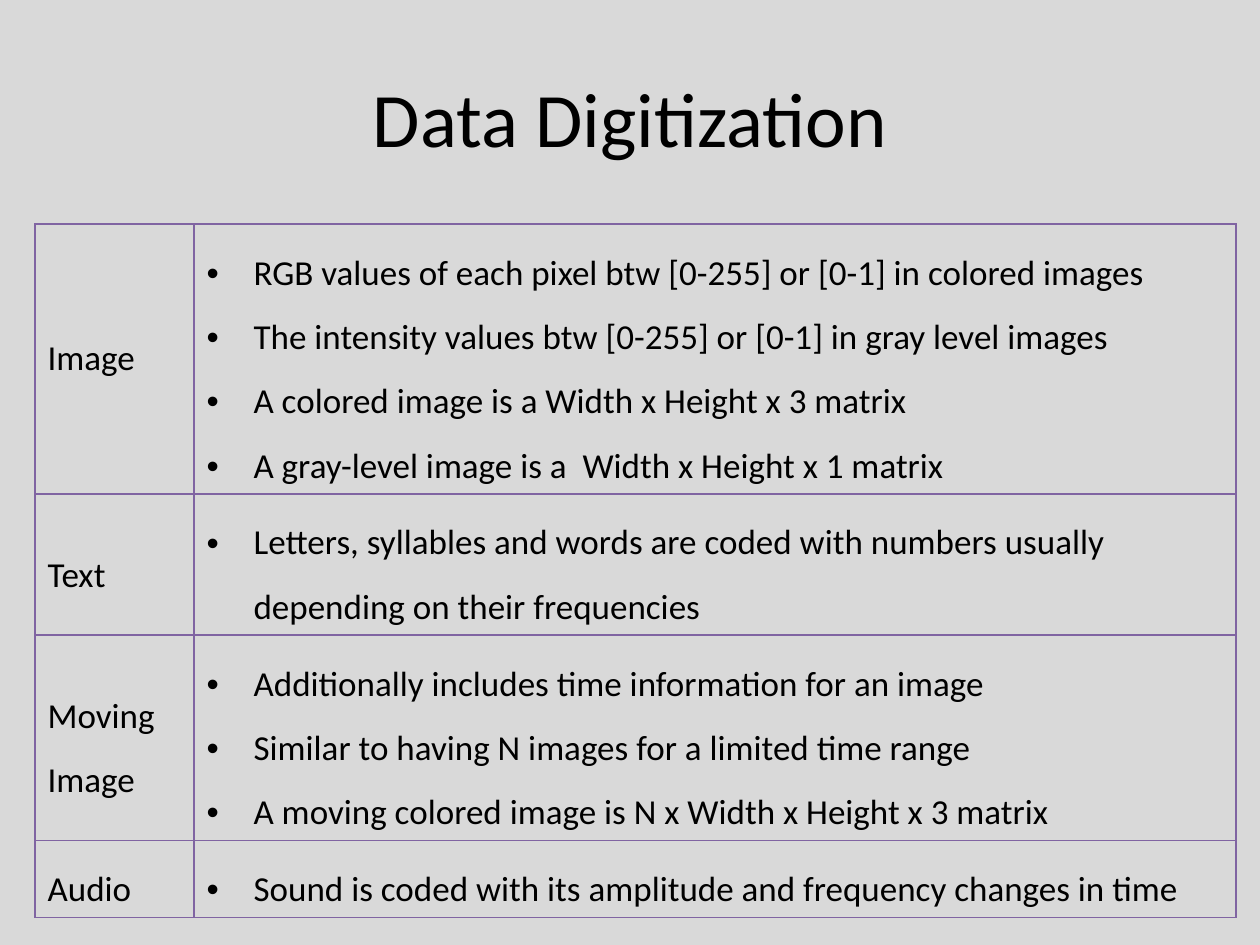
from lxml import etree
from pptx import Presentation
from pptx import util as u
from pptx.dml.color import RGBColor
from pptx.enum import text
from pptx.oxml.ns import qn

PX = 914400 / 126
ROWS = [
    (213, ["Image"], [
        "RGB values of each pixel btw [0-255] or [0-1] in colored images",
        "The intensity values btw [0-255] or [0-1] in gray level images",
        "A colored image is a Width x Height x 3 matrix",
        "A gray-level image is a  Width x Height x 1 matrix"]),
    (118, ["Text"], [
        "Letters, syllables and words are coded with numbers usually "
        "depending on their frequencies"]),
    (165, ["Moving", "Image"], [
        "Additionally includes time information for an image",
        "Similar to having N images for a limited time range",
        "A moving colored image is N x Width x Height x 3 matrix"]),
    (71, ["Audio"], [
        "Sound is coded with its amplitude and frequency changes in time"]),
]


def px(value):
    return u.Emu(round(value * PX))


def color(value):
    return RGBColor.from_string(value)


def apply(target, values):
    for name, value in values.items():
        setattr(target, name, value)


class Slide:
    """Holds the style and the current page."""
    ink, paper, rule = "000000", "D9D9D9", "8064A2"
    face = "Calibri"
    indent = 47

    def __init__(self, deck):
        self.page = deck.slides.add_slide(deck.slide_layouts[5])
        fill = self.page.background.fill
        fill.solid()
        fill.fore_color.rgb = color(self.paper)

    def font(self, target, size):
        apply(target, {"name": self.face, "size": u.Pt(size), "bold": False})
        target.color.rgb = color(self.ink)

    def title(self, words, left, top, width, height):
        box = self.page.shapes.title
        apply(box, {"left": px(left), "top": px(top),
                    "width": px(width), "height": px(height)})
        frame = box.text_frame
        apply(frame, {"text": words, "word_wrap": True,
                      "vertical_anchor": text.MSO_ANCHOR.MIDDLE})
        para = frame.paragraphs[0]
        para.alignment = text.PP_ALIGN.CENTER
        self.font(para.runs[0].font, 44)

    def table(self, rows, left, top, widths):
        heights = [row[0] for row in rows]
        frame = self.page.shapes.add_table(
            len(rows), len(widths), px(left), px(top),
            px(sum(widths)), px(sum(heights)))
        table = frame.table
        apply(table, {"first_row": False, "horz_banding": False})
        for column, width in zip(table.columns, widths):
            column.width = px(width)
        for index, (height, labels, points) in enumerate(rows):
            table.rows[index].height = px(height)
            label, detail = table.rows[index].cells
            label.vertical_anchor = text.MSO_ANCHOR.MIDDLE
            self.cell(label, labels, spacing=1.5 if index else 1.0)
            self.cell(detail, points, bulleted=True)

    def cell(self, cell, lines, spacing=1.5, bulleted=False):
        self.borders(cell)
        cell.fill.background()
        cell.text_frame.text = "\n".join(lines)
        for para in cell.text_frame.paragraphs:
            if bulleted:
                self.bullet(para)
            para.line_spacing = spacing
            self.font(para.runs[0].font, 20)

    def borders(self, cell):
        properties = cell._tc.get_or_add_tcPr()
        for side in ("lnL", "lnR", "lnT", "lnB"):
            line = etree.SubElement(properties, qn(f"a:{side}"), w=str(u.Pt(1)))
            fill = etree.SubElement(line, qn("a:solidFill"))
            etree.SubElement(fill, qn("a:srgbClr"), val=self.rule)

    def bullet(self, para):
        properties = para._p.get_or_add_pPr()
        properties.set("marL", str(px(self.indent)))
        properties.set("indent", str(-px(self.indent)))
        etree.SubElement(properties, qn("a:buFont"), typeface="Arial")
        etree.SubElement(properties, qn("a:buChar"), char="•")


def main():
    deck = Presentation()
    apply(deck, {"slide_width": px(1260), "slide_height": px(945)})
    slide = Slide(deck)
    slide.title("Data Digitization", 63, 38, 1134, 157)
    slide.table(ROWS, 35, 224, [159, 1042])
    deck.save("out.pptx")


if __name__ == "__main__":
    main()
